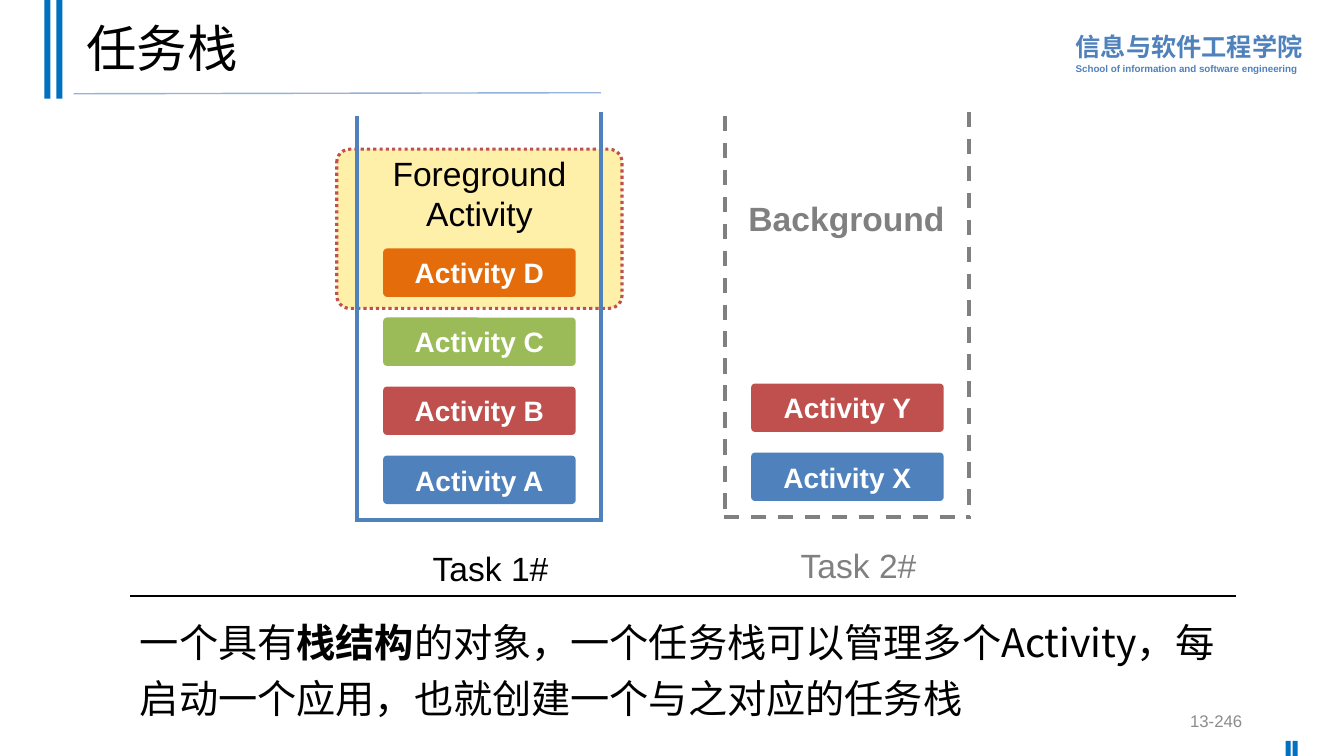
from dataclasses import dataclass

from lxml.etree import SubElement
from pptx import Presentation
from pptx.dml.color import RGBColor
from pptx.enum.dml import MSO_LINE
from pptx.enum.shapes import MSO_CONNECTOR, MSO_SHAPE
from pptx.enum.text import MSO_ANCHOR, PP_ALIGN
from pptx.oxml.ns import qn
from pptx.shapes.autoshape import Shape
from pptx.shapes.shapetree import GroupShapes, SlideShapes
from pptx.util import Inches, Pt

COLORS = {
    "black": "000000", "white": "FFFFFF", "gray": "808080", "page": "8C8C8C",
    "bar": "0070C0", "rule": "95B3D7", "blue": "4F81BD", "red": "C0504D",
    "green": "9BBB59", "orange": "E46C0A", "yellow": "FFF0A9",
}
CHINESE_FONT = "Noto Sans CJK SC"
Box = tuple[float, float, float, float]
Point = tuple[float, float]
Shapes = SlideShapes | GroupShapes


@dataclass(frozen=True)
class TextStyle:
    size: float
    color: str = "black"
    bold: bool = False
    align: PP_ALIGN = PP_ALIGN.CENTER
    spacing: float = 1.0
    anchor: MSO_ANCHOR = MSO_ANCHOR.MIDDLE
    font: str = "Arial"


@dataclass(frozen=True)
class Activity:
    name: str
    fill: str


@dataclass(frozen=True)
class Task:
    """A stack with its activities listed from the bottom up."""
    label: str
    left: float
    bottom: float
    wall_color: str
    label_color: str
    activities: tuple[Activity, ...]
    dash: MSO_LINE | None = None
    foreground: bool = False


TASKS = (
    Task("Task 1#", 3.54, 5.16, "blue", "black",
         (Activity("Activity A", "blue"), Activity("Activity B", "red"),
          Activity("Activity C", "green"), Activity("Activity D", "orange")),
         foreground=True),
    Task("Task 2#", 7.19, 5.13, "gray", "gray",
         (Activity("Activity X", "blue"), Activity("Activity Y", "red")),
         dash=MSO_LINE.DASH),
)
STACK_WIDTH = 2.42
ACTIVITY_PITCH = 0.685
ACTIVITY_STYLE = TextStyle(20, "white", bold=True)


def rgb(name: str) -> RGBColor:
    return RGBColor.from_string(COLORS[name])


def inches(values: tuple[float, ...]) -> list[Inches]:
    return [Inches(value) for value in values]


def write_text(shape: Shape, text: str, style: TextStyle, strong: str = "") -> None:
    """Fill a shape with text, setting the phrase `strong` in bold."""
    frame = shape.text_frame
    frame.word_wrap = True
    frame.vertical_anchor = style.anchor
    frame.text = text
    for paragraph in frame.paragraphs:
        paragraph.alignment = style.align
        paragraph.line_spacing = style.spacing
        if strong:
            before, after = paragraph.text.split(strong)
            paragraph.text = before
            for part in (strong, after):
                paragraph.add_run().text = part
        for run in paragraph.runs:
            run.font.size = Pt(style.size)
            run.font.name = style.font
            run.font.bold = style.bold or run.text == strong
            run.font.color.rgb = rgb(style.color)
            SubElement(run.font._element, qn("a:ea"), typeface=CHINESE_FONT)


def add_text(shapes: Shapes, box: Box, text: str, style: TextStyle, strong: str = "") -> Shape:
    shape = shapes.add_textbox(*inches(box))
    write_text(shape, text, style, strong)
    return shape


def add_block(shapes: Shapes, box: Box, fill: str, rounded: bool = True) -> Shape:
    kind = MSO_SHAPE.ROUNDED_RECTANGLE if rounded else MSO_SHAPE.RECTANGLE
    shape = shapes.add_shape(kind, *inches(box))
    if rounded:
        shape.adjustments[0] = 0.082
    shape.shadow.inherit = False
    shape.fill.solid()
    shape.fill.fore_color.rgb = rgb(fill)
    shape.line.fill.background()
    return shape


def add_line(shapes: Shapes, start: Point, end: Point, color: str, width: float,
             dash: MSO_LINE | None = None) -> None:
    line = shapes.add_connector(MSO_CONNECTOR.STRAIGHT, *inches(start + end))
    line.line.color.rgb = rgb(color)
    line.line.width = Pt(width)
    if dash is not None:
        line.line.dash_style = dash
    SubElement(line._element.spPr, qn("a:effectLst"))


def add_foreground(shapes: Shapes) -> None:
    panel = add_block(shapes, (3.34, 1.48, 2.83, 1.58), "yellow")
    panel.line.color.rgb = rgb("red")
    panel.line.width = Pt(2.25)
    panel.line.dash_style = MSO_LINE.ROUND_DOT
    write_text(panel, "Foreground\nActivity", TextStyle(24, anchor=MSO_ANCHOR.TOP))
    panel.text_frame.margin_top = 0


def add_task(shapes: Shapes, task: Task) -> None:
    if task.foreground:
        add_foreground(shapes)
    else:
        add_text(shapes, (7.12, 1.83, 2.55, 0.67), "Background",
                 TextStyle(24, "gray", bold=True))
    left, right, bottom = task.left, task.left + STACK_WIDTH, task.bottom
    walls = (
        ((left, 1.15), (left, bottom + 0.02)),
        ((right, 1.11), (right, bottom + 0.02)),
        ((left - 0.01, bottom), (right + 0.01, bottom)),
    )
    for start, end in walls:
        add_line(shapes, start, end, task.wall_color, 2.75, task.dash)
    for level, activity in enumerate(task.activities):
        top = bottom - 0.64 - level * ACTIVITY_PITCH
        block = add_block(shapes, (left + 0.26, top, 1.91, 0.48), activity.fill)
        write_text(block, activity.name, ACTIVITY_STYLE)
    add_text(shapes, (left + 0.49, bottom + 0.19, 1.67, 0.52), task.label,
             TextStyle(24, task.label_color, spacing=1.1, anchor=MSO_ANCHOR.TOP))


def add_frame(shapes: Shapes) -> None:
    """Draw the school name, the accent bars, the title and the page number."""
    school = add_text(shapes, (10.57, 0.23, 2.45, 0.56),
                      "信息与软件工程学院\nSchool of information and software engineering",
                      TextStyle(18, "blue", True, PP_ALIGN.LEFT, 1.1, MSO_ANCHOR.TOP))
    school.text_frame.word_wrap = False
    school.text_frame.paragraphs[1].runs[0].font.size = Pt(7)
    for left in (0.44, 0.56):
        add_block(shapes, (left, 0, 0.06, 0.98), "bar", rounded=False)
    for left in (12.75, 12.82):
        add_block(shapes, (left, 7.35, 0.05, 0.15), "bar", rounded=False)
    add_line(shapes, (0.73, 0.93), (5.96, 0.92), "rule", 1)
    add_text(shapes, (0.76, 0.07, 11.5, 0.88), "任务栈",
             TextStyle(36, align=PP_ALIGN.LEFT, spacing=0.9))
    add_text(shapes, (9.42, 6.95, 3, 0.4), "13-246",
             TextStyle(12, "page", align=PP_ALIGN.RIGHT))


def main() -> None:
    presentation = Presentation()
    presentation.slide_width, presentation.slide_height = inches((13.33, 7.5))
    slide = presentation.slides.add_slide(presentation.slide_layouts[6])
    add_frame(slide.shapes)
    add_text(slide.shapes, (1.29, 5.99, 10.96, 1.35),
             "一个具有栈结构的对象，一个任务栈可以管理多个Activity，"
             "每启动一个应用，也就创建一个与之对应的任务栈",
             TextStyle(28, align=PP_ALIGN.LEFT, spacing=1.2, anchor=MSO_ANCHOR.TOP,
                       font=CHINESE_FONT), strong="栈结构")
    add_line(slide.shapes, (1.29, 5.91), (12.26, 5.91), "black", 1.5)
    for task in TASKS:
        add_task(slide.shapes.add_group_shape().shapes, task)
    presentation.save("out.pptx")


if __name__ == "__main__":
    main()
